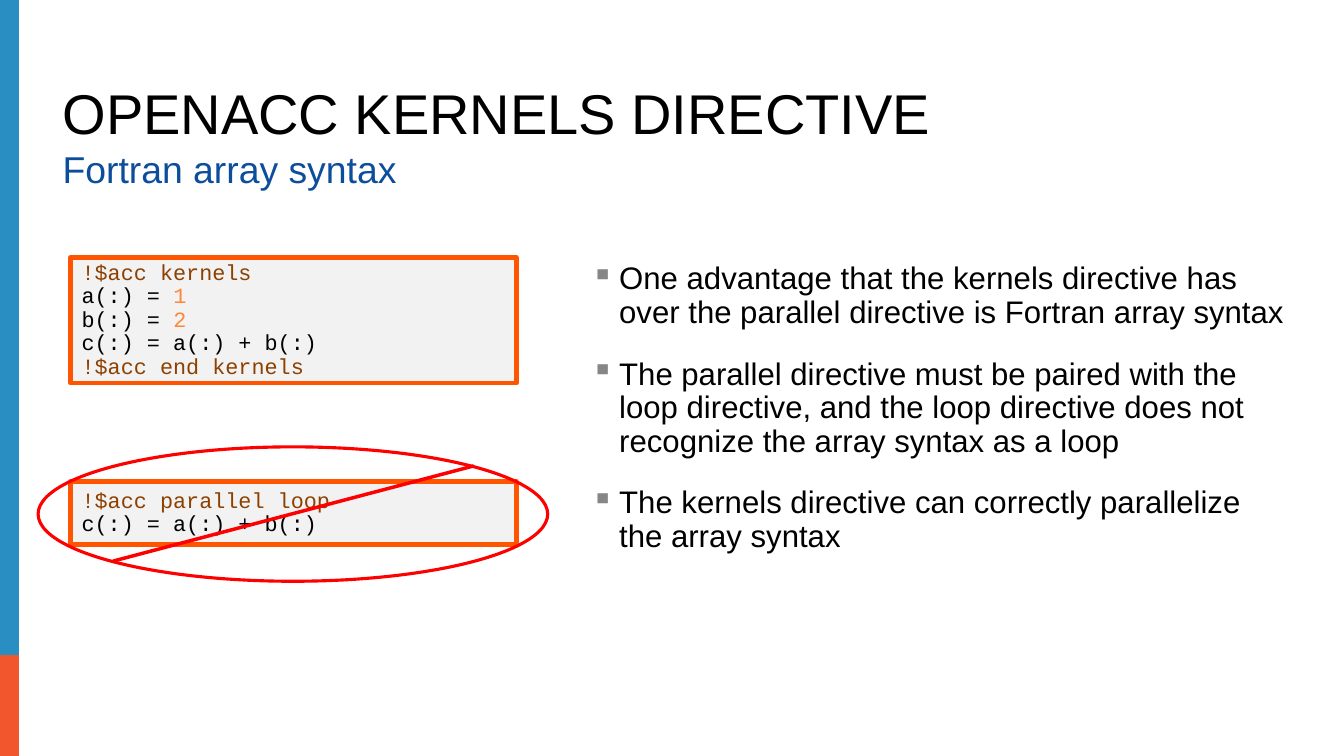
from lxml import etree
from pptx import Presentation
from pptx.dml.color import RGBColor
from pptx.enum import shapes, text
from pptx.oxml import ns
from pptx.util import Inches, Pt

COLORS = {
    "blue": "298EC2", "orange": "F1562D", "frame": "FF5400", "panel": "F2F2F2",
    "directive": "8E4000", "number": "FF8738", "black": "000000",
    "subtitle": "0C4E9B", "bullet": "868686", "red": "FF0000",
}


def rgb(name):
    return RGBColor.from_string(COLORS[name])


def add_box(left, top, width, height, size, color, lines, anchor):
    box = slide.shapes.add_textbox(Inches(left), Inches(top), Inches(width), Inches(height))
    frame = box.text_frame
    frame.word_wrap = True
    frame.vertical_anchor = anchor
    frame.text = "\n".join(lines)
    for paragraph in frame.paragraphs:
        paragraph.line_spacing = 0.9
        paragraph.font.size = Pt(size)
        paragraph.font.name = "Arial"
        paragraph.font.color.rgb = rgb(color)
    return frame


prs = Presentation()
prs.slide_width, prs.slide_height = Inches(12), Inches(6.75)
slide = prs.slides.add_slide(prs.slide_layouts[6])

# Side stripe
for top, height, color in [(0, 5.85, "blue"), (5.85, 0.9, "orange")]:
    stripe = slide.shapes.add_shape(
        shapes.MSO_SHAPE.RECTANGLE, 0, Inches(top), Inches(0.17), Inches(height))
    stripe.shadow.inherit = False
    stripe.fill.solid()
    stripe.fill.fore_color.rgb = rgb(color)
    stripe.line.fill.background()

# Title and subtitle
add_box(0.46, 0.71, 10.91, 0.65, 36, "black", ["OPENACC KERNELS DIRECTIVE"],
        text.MSO_ANCHOR.BOTTOM)
add_box(0.46, 1.3, 10.91, 0.57, 24, "subtitle", ["Fortran array syntax"],
        text.MSO_ANCHOR.TOP)

# Code panels: each line is a list of (words, colour)
array_sum = [("c(:) = a(:) + b(:)", "black")]
kernels_code = [
    [("!$acc kernels", "directive")],
    [("a(:) = ", "black"), ("1", "number")],
    [("b(:) = ", "black"), ("2", "number")],
    array_sum,
    [("!$acc end kernels", "directive")],
]
parallel_code = [[("!$acc parallel loop", "directive")], array_sum]

for top, height, code in [(2.3, 1.12, kernels_code), (4.3, 0.56, parallel_code)]:
    panel = slide.shapes.add_shape(
        shapes.MSO_SHAPE.RECTANGLE, Inches(0.63), Inches(top), Inches(3.98), Inches(height))
    panel.shadow.inherit = False
    panel.fill.solid()
    panel.fill.fore_color.rgb = rgb("panel")
    panel.line.color.rgb = rgb("frame")
    panel.line.width = Pt(3)
    frame = panel.text_frame
    frame.vertical_anchor = text.MSO_ANCHOR.MIDDLE
    for number, line in enumerate(code):
        paragraph = frame.add_paragraph() if number else frame.paragraphs[0]
        paragraph.alignment = text.PP_ALIGN.LEFT
        paragraph.line_spacing = 0.9
        paragraph.font.size = Pt(14)
        paragraph.font.name = "Courier New"
        for words, color in line:
            run = paragraph.add_run()
            run.text = words
            run.font.color.rgb = rgb(color)

# Prohibition sign over the parallel loop
ring = slide.shapes.add_shape(
    shapes.MSO_SHAPE.OVAL, Inches(0.34), Inches(3.99), Inches(4.55), Inches(1.2))
ring.shadow.inherit = False
ring.fill.background()
ring.line.color.rgb = rgb("red")
ring.line.width = Pt(2)

slash = slide.shapes.add_connector(
    shapes.MSO_CONNECTOR.STRAIGHT, Inches(1.01), Inches(5.01), Inches(4.23), Inches(4.16))
slash.line.color.rgb = rgb("red")
slash.line.width = Pt(2.25)
etree.SubElement(slash._element.spPr, ns.qn("a:effectLst"))

# Bulleted explanation
points = add_box(5.18, 2.3, 6.39, 4.07, 20, "black", [
    "One advantage that the kernels directive has over the parallel directive "
    "is Fortran array syntax",
    "The parallel directive must be paired with the loop directive, and the loop "
    "directive does not recognize the array syntax as a loop",
    "The kernels directive can correctly parallelize the array syntax",
], text.MSO_ANCHOR.TOP)
for number, point in enumerate(points.paragraphs):
    if number:
        point.space_before = Pt(18)
    props = point._p.get_or_add_pPr()
    props.set("marL", str(Inches(0.25)))
    props.set("indent", str(-Inches(0.25)))
    bullet_color = etree.Element(ns.qn("a:buClr"))
    etree.SubElement(bullet_color, ns.qn("a:srgbClr"), val=COLORS["bullet"])
    bullet = etree.Element(ns.qn("a:buChar"), char="▪")
    defaults = props.find(ns.qn("a:defRPr"))
    defaults.addprevious(bullet_color)
    defaults.addprevious(bullet)

prs.save("out.pptx")
